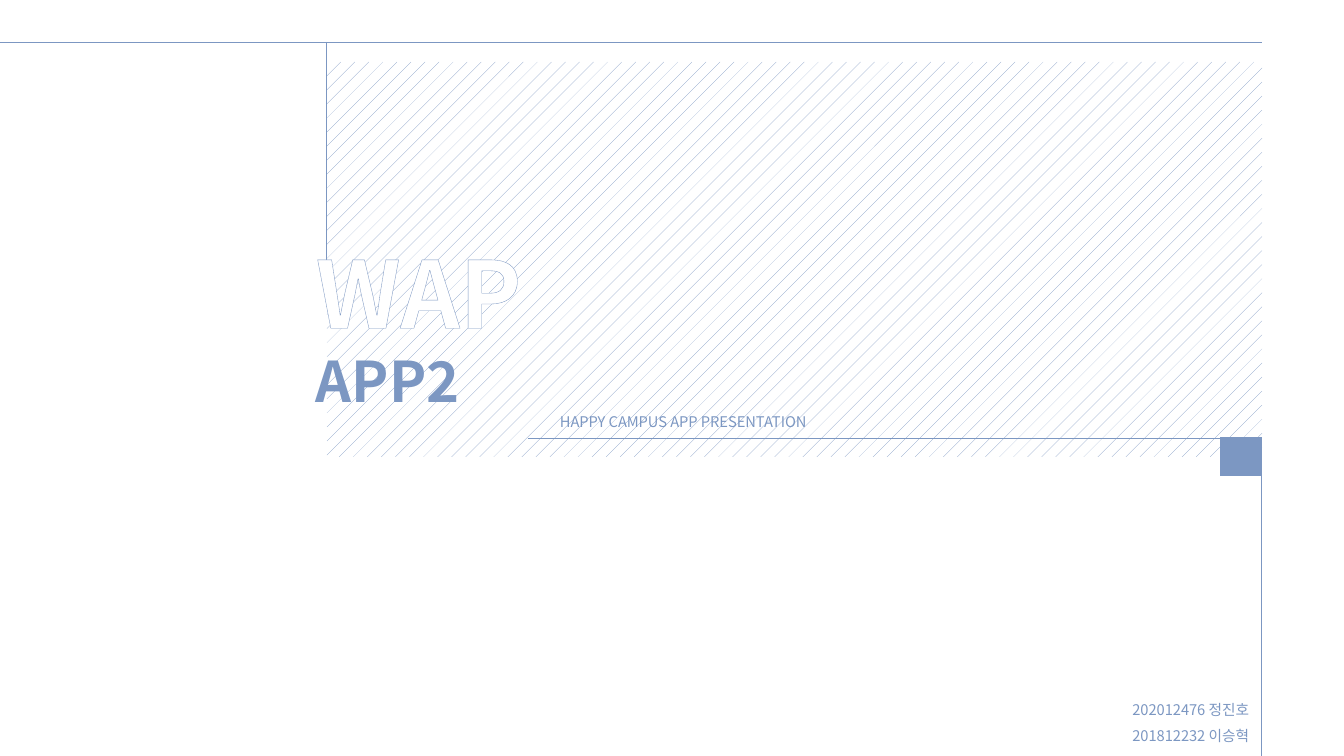
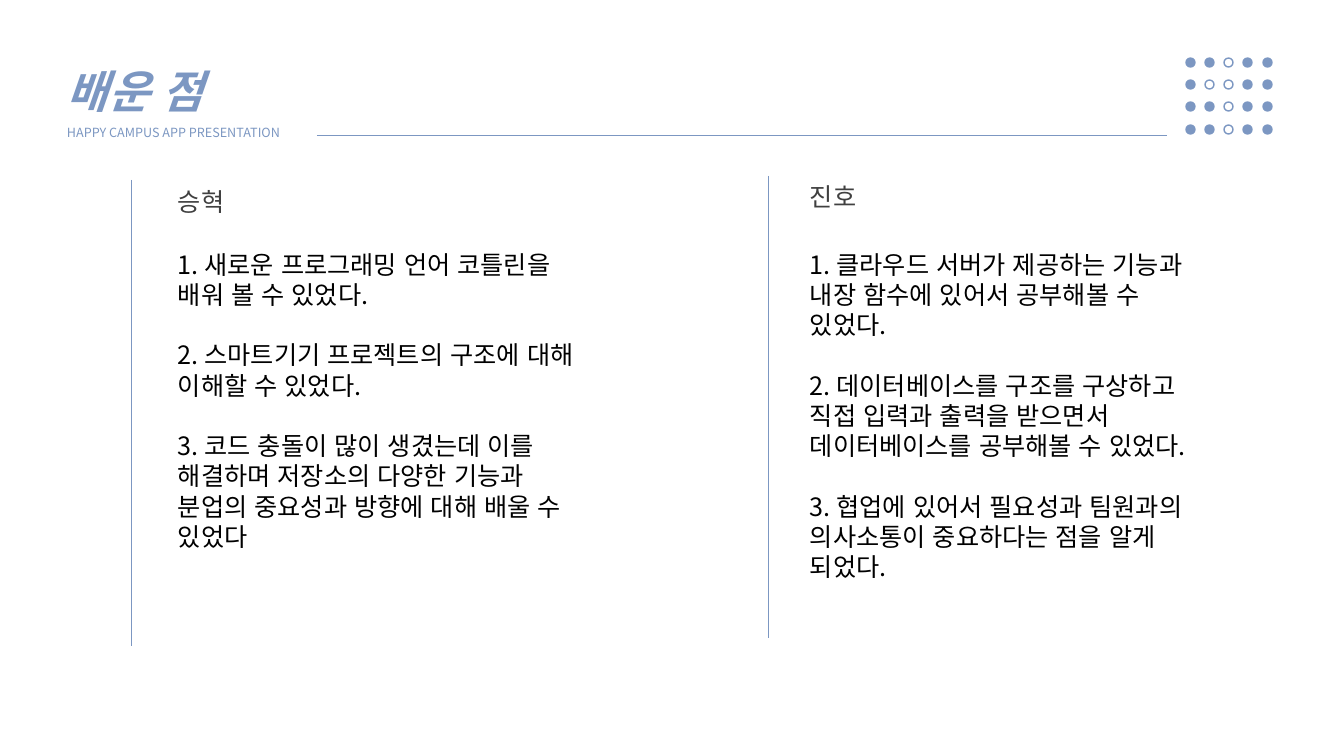
from dataclasses import dataclass
from typing import Optional

from lxml.etree import SubElement
from pptx import Presentation
from pptx.dml.color import RGBColor
from pptx.enum.dml import MSO_PATTERN as Pattern
from pptx.enum.lang import MSO_LANGUAGE_ID as Language
from pptx.enum.shapes import MSO_CONNECTOR as Connector, MSO_SHAPE as Shape
from pptx.enum.text import MSO_AUTO_SIZE as AutoSize, PP_ALIGN as Align
from pptx.oxml import parse_xml
from pptx.oxml.ns import nsdecls, qn
from pptx.util import Emu, Pt


@dataclass(frozen=True)
class Theme:
    font: str = "Noto Sans CJK KR"
    accent: str = "7C97C2"
    paper: str = "FFFFFF"
    heading: str = "404040"
    ink: str = "000000"
    hero_size: float = 66
    subject_size: float = 40
    title_size: float = 32
    body_size: float = 18
    caption_size: float = 10.5
    tagline_size: float = 9
    item_gap: float = 21.6
    rule_width: float = 0.5
    edge_width: float = 1


@dataclass(frozen=True)
class Box:
    left: int
    top: int
    width: int
    height: int

    def emu(self) -> tuple[Emu, ...]:
        return tuple(px(n) for n in (self.left, self.top, self.width, self.height))


@dataclass(frozen=True)
class Line:
    """One paragraph and its type."""
    words: str
    size: float
    color: str
    bold: bool = False
    italic: bool = False
    outline: Optional[str] = None


@dataclass(frozen=True)
class Lesson:
    """What one member learned, beside a vertical rule."""
    member: str
    rule_x: int
    rule_top: int
    rule_bottom: int
    member_top: int
    body: Box
    points: tuple[str, ...]


THEME = Theme()
WIDTH, HEIGHT = 1344, 756
TAGLINE = "HAPPY CAMPUS APP PRESENTATION"
MARGIN_RIGHT = 1262
HATCH_LEFT = 327
TOP_RULE = 42
DOT_ROWS = ("●●○●●", "●○○●●", "●●○●●", "●●○●●")
DOT_GRID = Box(1186, 58, 77, 67)
DOT_SIZE = 9
LESSONS = (
    Lesson("승혁", 131, 180, 646, 181, Box(168, 244, 422, 316), (
        "1. 새로운 프로그래밍 언어 코틀린을 배워 볼 수 있었다.",
        "2. 스마트기기 프로젝트의 구조에 대해 이해할 수 있었다.",
        "3. 코드 충돌이 많이 생겼는데 이를 해결하며 저장소의 다양한 기능과 "
        "분업의 중요성과 방향에 대해 배울 수 있었다",
    )),
    Lesson("진호", 768, 176, 638, 176, Box(800, 244, 412, 346), (
        "1. 클라우드 서버가 제공하는 기능과 내장 함수에 있어서 공부해볼 수 있었다.",
        "2. 데이터베이스를 구조를 구상하고 직접 입력과 출력을 받으면서 "
        "데이터베이스를 공부해볼 수 있었다.",
        "3. 협업에 있어서 필요성과 팀원과의 의사소통이 중요하다는 점을 알게 되었다.",
    )),
)


def px(length: int) -> Emu:
    return Emu(round(length * 914400 / 100.8))


def rgb(color: str) -> RGBColor:
    return RGBColor.from_string(color)


def add_text(slide, box: Box, lines: list[Line], *, wrap: bool = True,
             align: Align = Align.LEFT, spacing: float = 1.0, gap: float = 0) -> None:
    """Set one paragraph per line; gap is the space in points between them."""
    frame = slide.shapes.add_textbox(*box.emu()).text_frame
    frame.word_wrap = wrap
    frame.auto_size = AutoSize.SHAPE_TO_FIT_TEXT
    for index, line in enumerate(lines):
        paragraph = frame.add_paragraph() if index else frame.paragraphs[0]
        paragraph.alignment = align
        paragraph.line_spacing = spacing
        if index and gap:
            paragraph.space_before = Pt(gap)
        run = paragraph.add_run()
        run.text = line.words
        font = run.font
        font.size, font.bold, font.italic = Pt(line.size), line.bold, line.italic
        font.color.rgb = rgb(line.color)
        font.name = THEME.font
        font.language_id = Language.KOREAN
        properties = run._r.get_or_add_rPr()
        SubElement(properties, qn("a:ea")).set("typeface", THEME.font)
        if line.outline:
            properties.insert(0, parse_xml(
                f'<a:ln {nsdecls("a")} w="{Pt(THEME.edge_width)}"><a:solidFill>'
                f'<a:srgbClr val="{line.outline}"/></a:solidFill></a:ln>'))


def add_rule(slide, x1: int, y1: int, x2: int, y2: int) -> None:
    rule = slide.shapes.add_connector(Connector.STRAIGHT, px(x1), px(y1), px(x2), px(y2))
    rule.line.color.rgb = rgb(THEME.accent)
    rule.line.width = Pt(THEME.rule_width)
    SubElement(rule._element.spPr, qn("a:effectLst"))


def add_mark(slide, kind: Shape, box: Box, filled: bool = True) -> None:
    """Draw an accent shape with sharp corners, either solid or as an open outline."""
    mark = slide.shapes.add_shape(kind, *box.emu())
    mark.shadow.inherit = False
    mark.line.color.rgb = rgb(THEME.accent)
    mark.line.width = Pt(THEME.edge_width)
    SubElement(mark._element.spPr.find(qn("a:ln")), qn("a:miter")).set("lim", "800000")
    if filled:
        mark.fill.solid()
        mark.fill.fore_color.rgb = rgb(THEME.accent)
    else:
        mark.fill.background()


def add_hatch(slide, box: Box) -> None:
    hatch = slide.shapes.add_shape(Shape.RECTANGLE, *box.emu())
    hatch.shadow.inherit = False
    hatch.line.fill.background()
    hatch.fill.patterned()
    hatch.fill.pattern = Pattern.PERCENT_5
    hatch.fill.fore_color.rgb = rgb(THEME.accent)
    hatch.fill.back_color.rgb = rgb(THEME.paper)


def add_dot_grid(slide) -> None:
    for row, dots in enumerate(DOT_ROWS):
        top = DOT_GRID.top + DOT_GRID.height * row // (len(DOT_ROWS) - 1)
        for column, dot in enumerate(dots):
            left = DOT_GRID.left + DOT_GRID.width * column // (len(dots) - 1)
            add_mark(slide, Shape.OVAL, Box(left, top, DOT_SIZE, DOT_SIZE), dot == "●")


def add_lesson(slide, lesson: Lesson) -> None:
    add_rule(slide, lesson.rule_x, lesson.rule_top, lesson.rule_x, lesson.rule_bottom)
    add_text(slide, Box(lesson.body.left, lesson.member_top, 72, 40),
             [Line(lesson.member, THEME.body_size, THEME.heading)], wrap=False)
    add_text(slide, lesson.body,
             [Line(point, THEME.body_size, THEME.ink) for point in lesson.points],
             gap=THEME.item_gap)


def build_cover(slide) -> None:
    add_hatch(slide, Box(HATCH_LEFT, 62, MARGIN_RIGHT - HATCH_LEFT, 395))
    add_rule(slide, 528, 438, MARGIN_RIGHT, 438)
    add_rule(slide, HATCH_LEFT - 1, TOP_RULE, HATCH_LEFT - 1, 269)
    add_text(slide, Box(1116, 687, 143, 60),
             [Line(student, THEME.caption_size, THEME.accent)
              for student in ("202012476 정진호", "201812232 이승혁")],
             wrap=False, align=Align.RIGHT, spacing=1.5)
    add_text(slide, Box(306, 231, 320, 190), [
        Line("WAP", THEME.hero_size, THEME.paper, bold=True, outline=THEME.accent),
        Line("APP2", THEME.subject_size, THEME.accent, bold=True),
    ])
    add_text(slide, Box(550, 399, 444, 33),
             [Line(TAGLINE, THEME.caption_size, THEME.accent)], spacing=1.5)
    add_mark(slide, Shape.RECTANGLE, Box(1221, 438, 40, 37))
    add_rule(slide, 0, TOP_RULE, MARGIN_RIGHT, TOP_RULE)
    add_rule(slide, 1261, 476, 1261, HEIGHT)


def build_lessons(slide) -> None:
    add_text(slide, Box(57, 32, 633, 115), [
        Line("배운 점", THEME.title_size, THEME.accent, bold=True, italic=True),
        Line(TAGLINE, THEME.tagline_size, THEME.accent),
    ], spacing=1.5)
    add_rule(slide, 317, 135, 1167, 135)
    add_dot_grid(slide)
    for lesson in LESSONS:
        add_lesson(slide, lesson)


def main() -> None:
    deck = Presentation()
    deck.slide_width, deck.slide_height = px(WIDTH), px(HEIGHT)
    blank = deck.slide_layouts[6]
    for build in (build_cover, build_lessons):
        slide = deck.slides.add_slide(blank)
        slide.background.fill.solid()
        slide.background.fill.fore_color.rgb = rgb(THEME.paper)
        build(slide)
    deck.save("out.pptx")


if __name__ == "__main__":
    main()
